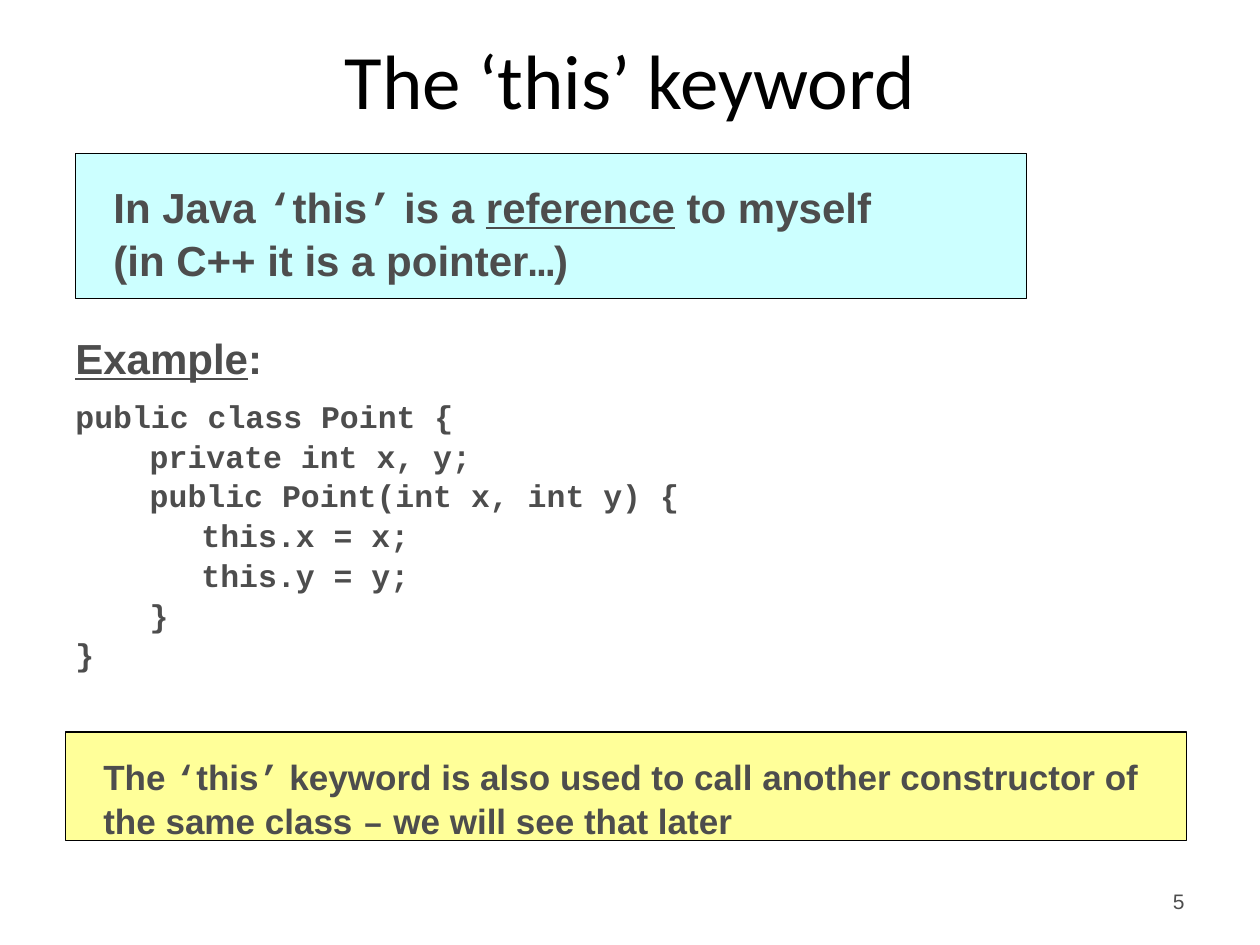
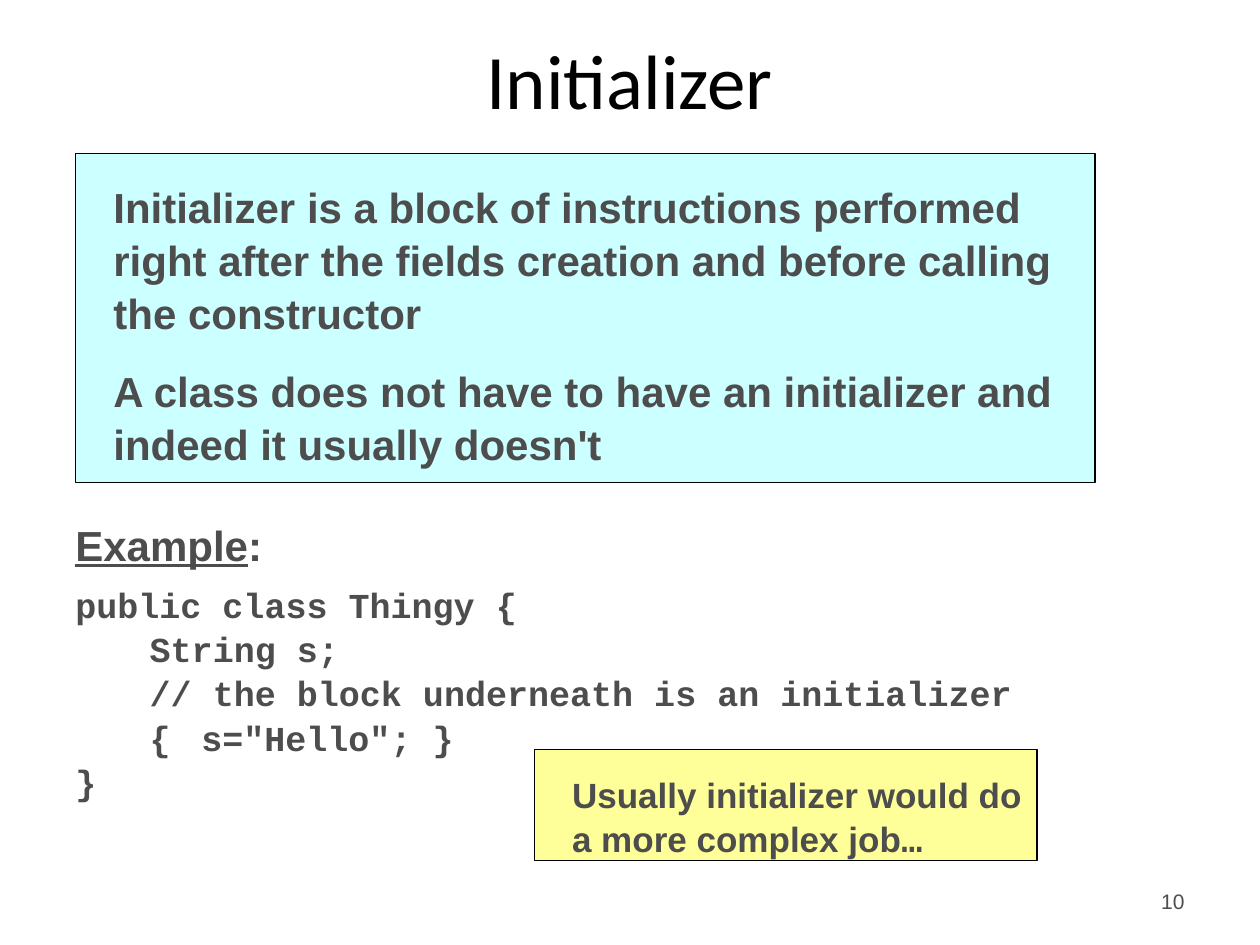
from dataclasses import dataclass

from lxml.etree import SubElement
from pptx import Presentation
from pptx.dml.color import RGBColor
from pptx.enum.shapes import MSO_SHAPE as Shape
from pptx.enum.text import MSO_ANCHOR as Anchor, PP_ALIGN as Align
from pptx.oxml.ns import qn
from pptx.util import Inches, Length, Pt


@dataclass(frozen=True)
class Theme:
    ink: RGBColor = RGBColor(0x4D, 0x4D, 0x4D)
    black: RGBColor = RGBColor(0, 0, 0)
    cyan: RGBColor = RGBColor(0xCC, 0xFF, 0xFF)
    yellow: RGBColor = RGBColor(0xFF, 0xFF, 0x99)
    body_font: str = "Arial"
    title_font: str = "Calibri"
    code_font: str = "Courier New"
    title_size: int = 44
    lead_size: int = 24
    note_size: int = 20
    number_size: int = 12
    line_spacing: float = 1.05
    tab_stops: tuple[Length, ...] = (Inches(0.59), Inches(1))


THEME = Theme()


@dataclass(frozen=True)
class Area:
    left: float
    top: float
    width: float
    height: float

    def lengths(self) -> tuple[Length, ...]:
        return tuple(Inches(n) for n in (self.left, self.top, self.width, self.height))


@dataclass(frozen=True)
class Span:
    text: str
    code: bool = False
    underline: bool = False


@dataclass(frozen=True)
class Callout:
    area: Area
    fill: RGBColor
    size: int
    top_inset: float
    paragraphs: tuple[tuple[Span, ...], ...]


@dataclass(frozen=True)
class Example:
    area: Area
    size: int
    code: str


@dataclass(frozen=True)
class Page:
    number: int
    title: str
    lead: Callout
    example: Example
    note: Callout


def lead(area: Area, *paragraphs: tuple[Span, ...]) -> Callout:
    return Callout(area, THEME.cyan, THEME.lead_size, 0.2, paragraphs)


def note(area: Area, *spans: Span) -> Callout:
    return Callout(area, THEME.yellow, THEME.note_size, 0.17, (spans,))


def style(para, font_name: str, size: int, color: RGBColor, bold: bool = False) -> None:
    font = para.font
    font.name, font.size, font.bold = font_name, Pt(size), bold
    font.color.rgb = color


def write_spans(para, spans: tuple[Span, ...]) -> None:
    for span in spans:
        for index, line in enumerate(span.text.split("\n")):
            if index:
                para.add_line_break()
            run = para.add_run()
            run.text = line
            if span.code:
                run.font.name = THEME.code_font
            if span.underline:
                run.font.underline = True


def next_paragraph(frame, index: int):
    return frame.add_paragraph() if index else frame.paragraphs[0]


def add_tab_stops(para) -> None:
    tabs = SubElement(para._p.get_or_add_pPr(), qn("a:tabLst"))
    for stop in THEME.tab_stops:
        SubElement(tabs, qn("a:tab"), pos=str(int(stop)), algn="l")


def add_label(slide, area: Area, text: str, font_name: str, size: int,
              color: RGBColor, align: Align) -> None:
    frame = slide.shapes.add_textbox(*area.lengths()).text_frame
    frame.word_wrap = True
    frame.vertical_anchor = Anchor.MIDDLE
    para = frame.paragraphs[0]
    para.text = text
    para.alignment = align
    style(para, font_name, size, color)


def add_callout(slide, callout: Callout) -> None:
    box = slide.shapes.add_shape(Shape.RECTANGLE, *callout.area.lengths())
    box.shadow.inherit = False
    box.fill.solid()
    box.fill.fore_color.rgb = callout.fill
    box.line.color.rgb = THEME.black
    box.line.width = Pt(0.75)
    frame = box.text_frame
    frame.word_wrap = True
    frame.vertical_anchor = Anchor.TOP
    frame.margin_left, frame.margin_top = Inches(0.3), Inches(callout.top_inset)
    frame.margin_right = frame.margin_bottom = 0
    for index, spans in enumerate(callout.paragraphs):
        para = next_paragraph(frame, index)
        para.alignment = Align.LEFT
        para.line_spacing = THEME.line_spacing
        if index:
            para.space_before = Pt(0.6 * callout.size)
        style(para, THEME.body_font, callout.size, THEME.ink, bold=True)
        write_spans(para, spans)


def add_example(slide, example: Example) -> None:
    frame = slide.shapes.add_textbox(*example.area.lengths()).text_frame
    frame.word_wrap = True
    frame.margin_top = Inches(0.08)
    heading = frame.paragraphs[0]
    heading.line_spacing = THEME.line_spacing
    style(heading, THEME.body_font, THEME.lead_size, THEME.ink, bold=True)
    write_spans(heading, (Span("Example", underline=True), Span(":")))
    for index, line in enumerate(example.code.split("\n")):
        para = frame.add_paragraph()
        para.line_spacing = THEME.line_spacing
        para.space_before = Pt(0 if index else 7)
        add_tab_stops(para)
        style(para, THEME.code_font, example.size, THEME.ink, bold=True)
        para.add_run().text = line


def add_page(deck, page: Page) -> None:
    slide = deck.slides.add_slide(deck.slide_layouts[6])
    add_label(slide, Area(7.17, 6.95, 2.33, 0.4), str(page.number),
              THEME.body_font, THEME.number_size, THEME.ink, Align.RIGHT)
    add_label(slide, Area(0, 0.16, 10, 0.93), page.title,
              THEME.title_font, THEME.title_size, THEME.black, Align.CENTER)
    add_example(slide, page.example)
    add_callout(slide, page.lead)
    add_callout(slide, page.note)


QUOTED_THIS = (Span("‘", code=True), Span("this"), Span("’", code=True))

POINT_CODE = """public class Point {
\tprivate int x, y;
\tpublic Point(int x, int y) {
\t\tthis.x = x;
\t\tthis.y = y;
\t}
}"""

THINGY_CODE = """public class Thingy {
\tString s;
\t// the block underneath is an initializer
\t{\ts="Hello"; }
}"""

PAGES = (
    Page(
        5,
        "The ‘this’ keyword",
        lead(Area(0.6, 1.22, 7.55, 1.15),
             (Span("In Java "), *QUOTED_THIS, Span(" is a "),
              Span("reference", underline=True),
              Span(" to myself\n(in C++ it is a pointer"),
              Span("…", code=True), Span(")"))),
        Example(Area(0.5, 2.54, 9, 3.2), 18, POINT_CODE),
        note(Area(0.52, 5.81, 8.9, 0.86),
             Span("The "), *QUOTED_THIS,
             Span(" keyword is also used to call another constructor of the same class "),
             Span("–", code=True), Span(" we will see that later")),
    ),
    Page(
        10,
        "Initializer",
        lead(Area(0.6, 1.22, 8.09, 2.61),
             (Span("Initializer is a block of instructions performed right after "
                   "the fields creation and before calling the constructor"),),
             (Span("A class does not have to have an initializer and "
                   "indeed it usually doesn't"),)),
        Example(Area(0.5, 4.02, 9, 2.73), 20, THINGY_CODE),
        note(Area(4.24, 5.95, 3.99, 0.88),
             Span("Usually initializer would do a more complex job"),
             Span("…", code=True)),
    ),
)


def main() -> None:
    deck = Presentation()
    deck.slide_width, deck.slide_height = Inches(10), Inches(7.5)
    for page in PAGES:
        add_page(deck, page)
    deck.save("out.pptx")


main()
